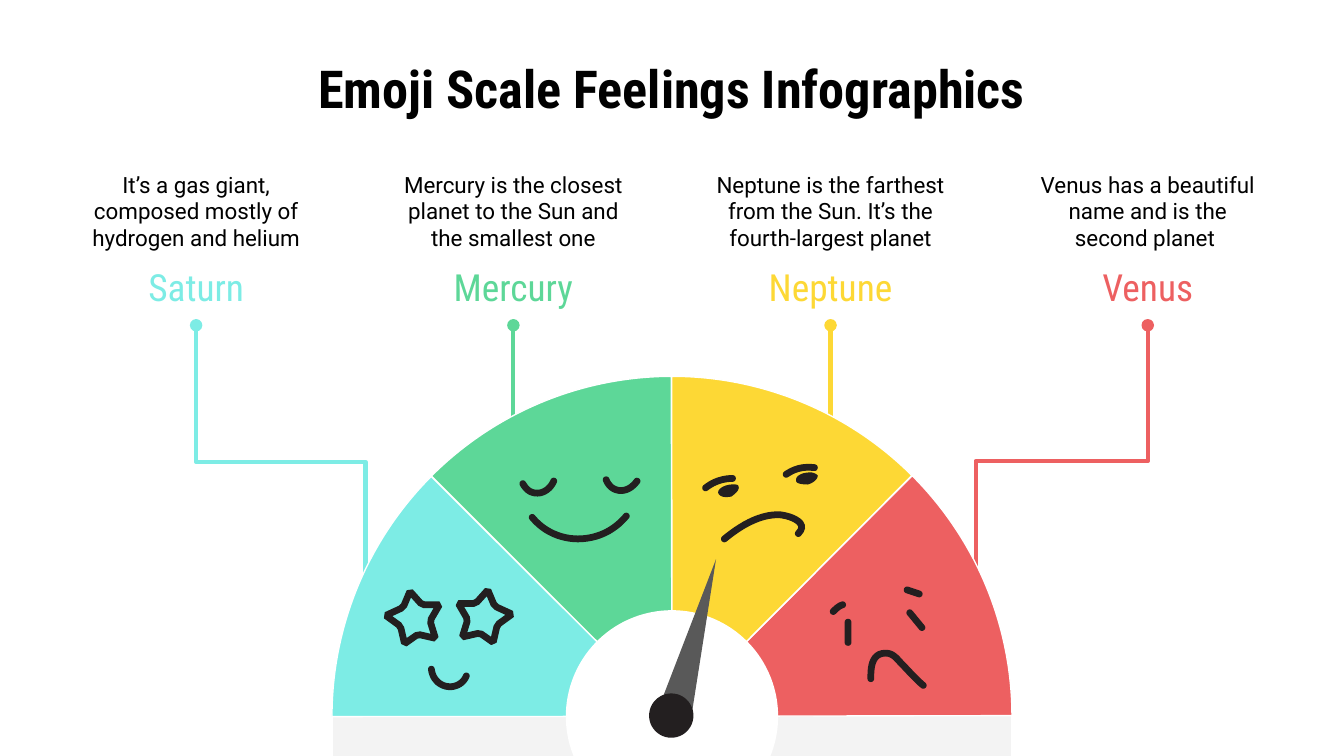
"""Build a slide with a four-part gauge of feelings and its labels."""
from dataclasses import dataclass
from math import atan2, cos, pi, sin

from lxml.etree import SubElement
from pptx import Presentation
from pptx.dml.color import RGBColor
from pptx.enum.shapes import MSO_CONNECTOR, MSO_SHAPE
from pptx.enum.text import MSO_ANCHOR, MSO_AUTO_SIZE, PP_ALIGN
from pptx.oxml.ns import qn
from pptx.util import Inches, Pt

Point = tuple[float, float]
INK, WHITE, BLACK = "231F20", "FFFFFF", "000000"
CENTER_X, CENTER_Y, RADIUS = 5, 5.33, 2.53
LABEL_WIDTH, LABEL_GAP = 1.92, 2.36
HALF_STROKE, MITRE_LIMIT, CURVE_STEPS, CORNER_CUT = 0.02, 1.3, 12, 0.12


@dataclass
class Feeling:
    name: str
    description: str
    color: str
    rotation: int
    foot: Point


FEELINGS = [
    Feeling("Saturn", "It’s a gas giant, composed mostly of hydrogen and helium", "7DECE5", 225, (2.72, 4.45)),
    Feeling("Mercury", "Mercury is the closest planet to the Sun and the smallest one", "5DD798", 270, (3.82, 3.55)),
    Feeling("Neptune", "Neptune is the farthest from the Sun. It’s the fourth-largest planet", "FDD835", 315, (6.18, 3.55)),
    Feeling("Venus", "Venus has a beautiful name and is the second planet ", "ED6061", 0, (7.26, 4.44)),
]

CALM_FACE = [
    [(4.66, 3.84), (4.57, 3.95), (4.44, 4.01), (4.3, 4.01), (4.18, 4.01), (4.05, 3.96), (3.96, 3.85)],
    [(4.51, 3.57), (4.53, 3.62), (4.57, 3.65), (4.62, 3.65), (4.67, 3.65), (4.71, 3.62), (4.74, 3.58)],
    [(4.12, 3.58), (4.1, 3.63), (4.05, 3.67), (4, 3.67), (3.95, 3.67), (3.92, 3.65), (3.89, 3.6)],
]
ANNOYED_FACE = [
    [(5.39, 4.01), (5.5, 3.92), (5.64, 3.83), (5.79, 3.83), (5.85, 3.83), (6.03, 3.88), (5.94, 3.97)],
    [(5.25, 3.63), (5.3, 3.59), (5.37, 3.56), (5.45, 3.56)],
    [(5.85, 3.53), (5.91, 3.49), (5.97, 3.47), (6.06, 3.48)],
]
STARRY_SMILE = [
    [(3.21, 4.98), (3.22, 5.06), (3.28, 5.11), (3.35, 5.11), (3.4, 5.11), (3.45, 5.08), (3.47, 5.03)],
]
SAD_FACE = [
    [(6.48, 5.05), (6.48, 4.98), (6.48, 4.86), (6.59, 4.86), (6.65, 4.86), (6.68, 4.91), (6.71, 4.94),
     (6.76, 4.99), (6.81, 5.05), (6.87, 5.1)],
    [(6.77, 4.56), (6.86, 4.67)],
    [(6.31, 4.63), (6.31, 4.78)],
    [(6.75, 4.39), (6.84, 4.42)],
    [(6.2, 4.55), (6.22, 4.53), (6.24, 4.51), (6.27, 4.5)],
]
ANNOYED_EYES = [
    [(5.45, 3.61), (5.4, 3.61), (5.34, 3.64), (5.35, 3.67), (5.36, 3.69), (5.39, 3.7), (5.44, 3.69),
     (5.47, 3.67), (5.5, 3.64), (5.49, 3.62), (5.49, 3.61), (5.47, 3.61), (5.45, 3.61)],
    [(6.03, 3.52), (5.98, 3.52), (5.92, 3.54), (5.93, 3.58), (5.93, 3.59), (5.96, 3.6), (6.01, 3.6),
     (6.05, 3.59), (6.08, 3.56), (6.08, 3.54), (6.07, 3.53), (6.05, 3.52), (6.03, 3.52)],
]
LEFT_STAR = [(3.05, 4.4), (3.14, 4.5), (3.27, 4.5), (3.2, 4.62), (3.24, 4.75),
             (3.11, 4.72), (3.01, 4.79), (2.98, 4.66), (2.87, 4.58), (3, 4.52)]
RIGHT_STAR = [(6.68 - x, y - 0.01) for x, y in LEFT_STAR]


def rgb(value: str) -> RGBColor:
    """Turn a hex string into a colour."""
    return RGBColor.from_string(value)


def paint(shape, fill: str, line: str | None = None) -> None:
    """Give a shape a plain fill and an optional thin line."""
    shape.shadow.inherit = False
    shape.fill.solid()
    shape.fill.fore_color.rgb = rgb(fill)
    if line is None:
        shape.line.fill.background()
    else:
        shape.line.color.rgb = rgb(line)
        shape.line.width = Pt(0.75)


def add_preset(slide, kind, left: float, top: float, width: float, height: float,
               fill: str, line: str | None = None, rotation: float = 0):
    """Add a painted preset shape."""
    shape = slide.shapes.add_shape(kind, Inches(left), Inches(top), Inches(width), Inches(height))
    shape.rotation = rotation
    paint(shape, fill, line)
    return shape


def write_text(shape, text: str, size: int, font_name: str, color: str, anchor=MSO_ANCHOR.TOP, bold: bool = False) -> None:
    """Write one centred paragraph with even insets."""
    frame = shape.text_frame
    frame.text = text
    frame.word_wrap = True
    frame.auto_size = MSO_AUTO_SIZE.NONE
    frame.vertical_anchor = anchor
    frame.margin_left = frame.margin_right = frame.margin_top = frame.margin_bottom = Inches(0.1)
    paragraph = frame.paragraphs[0]
    paragraph.alignment = PP_ALIGN.CENTER
    font = paragraph.font
    font.size, font.name, font.bold = Pt(size), font_name, bold
    font.color.rgb = rgb(color)


def add_callout(slide, foot: Point, head: Point, color: str) -> None:
    """Add an elbow connector that leaves its foot upwards and ends in a dot."""
    leftward = head[0] < foot[0]
    middle_x, middle_y = (foot[0] + head[0]) / 2, (foot[1] + head[1]) / 2
    half_run = (foot[1] - head[1]) / 2 * (-1 if leftward else 1)
    half_rise = abs(head[0] - foot[0]) / 2
    connector = slide.shapes.add_connector(
        MSO_CONNECTOR.ELBOW, Inches(middle_x - half_run), Inches(middle_y - half_rise),
        Inches(middle_x + half_run), Inches(middle_y + half_rise))
    connector.line.color.rgb = rgb(color)
    connector.line.width = Pt(2.25)
    properties = connector.element.spPr
    properties.find(qn("a:xfrm")).set("rot", str((90 if leftward else 270) * 60000))
    SubElement(properties.find(qn("a:ln")), qn("a:tailEnd"), type="oval")
    SubElement(properties, qn("a:effectLst"))


def sample_curve(controls: list[Point]) -> list[Point]:
    """Sample a chain of cubic curves, or keep a straight line."""
    if len(controls) == 2:
        return controls
    points = [controls[0]]
    for first in range(0, len(controls) - 1, 3):
        for step in range(1, CURVE_STEPS + 1):
            t = step / CURVE_STEPS
            weights = ((1 - t) ** 3, 3 * t * (1 - t) ** 2, 3 * t * t * (1 - t), t ** 3)
            points.append(tuple(sum(weight * controls[first + i][axis] for i, weight in enumerate(weights))
                                for axis in (0, 1)))
    return points


def offset_point(before: Point, point: Point, after: Point, distance: float) -> Point:
    """Move a corner sideways along its limited mitre."""
    start = atan2(point[1] - before[1], point[0] - before[0])
    end = atan2(after[1] - point[1], after[0] - point[0])
    turn = (end - start + pi) % (2 * pi) - pi
    reach = distance * min(MITRE_LIMIT, 1 / max(cos(turn / 2), 0.1))
    normal = start + turn / 2 + pi / 2
    return point[0] + reach * cos(normal), point[1] + reach * sin(normal)


def stroke_side(points: list[Point]) -> list[Point]:
    """Return one side of an open stroke with the round cap at its end."""
    (x0, y0), (x1, y1) = points[-2:]
    normal = atan2(y1 - y0, x1 - x0) + pi / 2
    cap = [(x1 + HALF_STROKE * cos(normal - pi * i / 8), y1 + HALF_STROKE * sin(normal - pi * i / 8))
           for i in range(9)]
    return [offset_point(*triple, HALF_STROKE) for triple in zip(points, points[1:], points[2:])] + cap


def add_outline(slide, contours: list[list[Point]]) -> None:
    """Add one inked freeform made of closed contours."""
    scaled = [[(Inches(x), Inches(y)) for x, y in contour] for contour in contours]
    builder = slide.shapes.build_freeform(*scaled[0][0])
    builder.add_line_segments(scaled[0][1:], close=True)
    for contour in scaled[1:]:
        builder.move_to(*contour[0])
        builder.add_line_segments(contour[1:], close=True)
    paint(builder.convert_to_shape(), INK, INK)


def add_strokes(slide, strokes: list[list[Point]]) -> None:
    """Add the round-ended strokes of a face."""
    for controls in strokes:
        points = sample_curve(controls)
        add_outline(slide, [stroke_side(points) + stroke_side(points[::-1])])


def add_star(slide, corners: list[Point]) -> None:
    """Add a hollow star with blunted corners and an even rim."""
    blunted = [(x0 + (x1 - x0) * part, y0 + (y1 - y0) * part)
               for (x0, y0), (x1, y1) in zip(corners, corners[1:] + corners[:1])
               for part in (CORNER_CUT, 1 - CORNER_CUT)]
    triples = list(zip(blunted[-1:] + blunted[:-1], blunted, blunted[1:] + blunted[:1]))
    add_outline(slide, [[offset_point(*triple, side) for triple in triples]
                        for side in (HALF_STROKE, -HALF_STROKE)])


def add_gauge(slide) -> None:
    """Add the base, the four sectors, the hub and the needle."""
    for left in (CENTER_X, CENTER_X - RADIUS):
        add_preset(slide, MSO_SHAPE.RECTANGLE, left, 5.32, RADIUS, 0.31, "F3F3F3", WHITE)
    for feeling in FEELINGS[-1:] + FEELINGS[:-1]:
        sector = add_preset(slide, MSO_SHAPE.PIE, CENTER_X - RADIUS, CENTER_Y - RADIUS, 2 * RADIUS, 2 * RADIUS,
                            feeling.color, WHITE, feeling.rotation)
        sector.adjustments[0], sector.adjustments[1] = 188.98, 215.94
    add_preset(slide, MSO_SHAPE.OVAL, 4.21, 4.54, 1.58, 1.58, WHITE)
    add_preset(slide, MSO_SHAPE.ISOSCELES_TRIANGLE, 5.04, 4.14, 0.26, 1.22, "595959", rotation=15)
    add_preset(slide, MSO_SHAPE.OVAL, 4.83, 5.16, 0.33, 0.33, INK)


def main() -> None:
    """Build and save the presentation."""
    presentation = Presentation()
    presentation.slide_width, presentation.slide_height = Inches(10), Inches(10) * 9 // 16
    slide = presentation.slides.add_slide(presentation.slide_layouts[5])
    title = slide.shapes.title
    title.left, title.top, title.width, title.height = Inches(0.5), Inches(0.32), Inches(8.99), Inches(0.63)
    write_text(title, "Emoji Scale Feelings Infographics", 28, "Roboto Condensed", BLACK, bold=True)
    for index, feeling in enumerate(FEELINGS):
        left = 0.5 + index * LABEL_GAP
        for top, height, text, size, font_name, color, anchor in (
                (1.17, 0.75, feeling.description, 12, "Roboto", BLACK, MSO_ANCHOR.TOP),
                (1.85, 0.57, feeling.name, 20, "Roboto Condensed", feeling.color, MSO_ANCHOR.MIDDLE)):
            label = slide.shapes.add_textbox(Inches(left), Inches(top), Inches(LABEL_WIDTH), Inches(height))
            write_text(label, text, size, font_name, color, anchor)
        add_callout(slide, feeling.foot, (left + LABEL_WIDTH / 2, 2.42), feeling.color)
    add_gauge(slide)
    add_strokes(slide, CALM_FACE + ANNOYED_FACE)
    for eye in ANNOYED_EYES:
        add_outline(slide, [sample_curve(eye)])
    for star in (LEFT_STAR, RIGHT_STAR):
        add_star(slide, star)
    add_strokes(slide, STARRY_SMILE + SAD_FACE)
    presentation.save("out.pptx")


if __name__ == "__main__":
    main()
